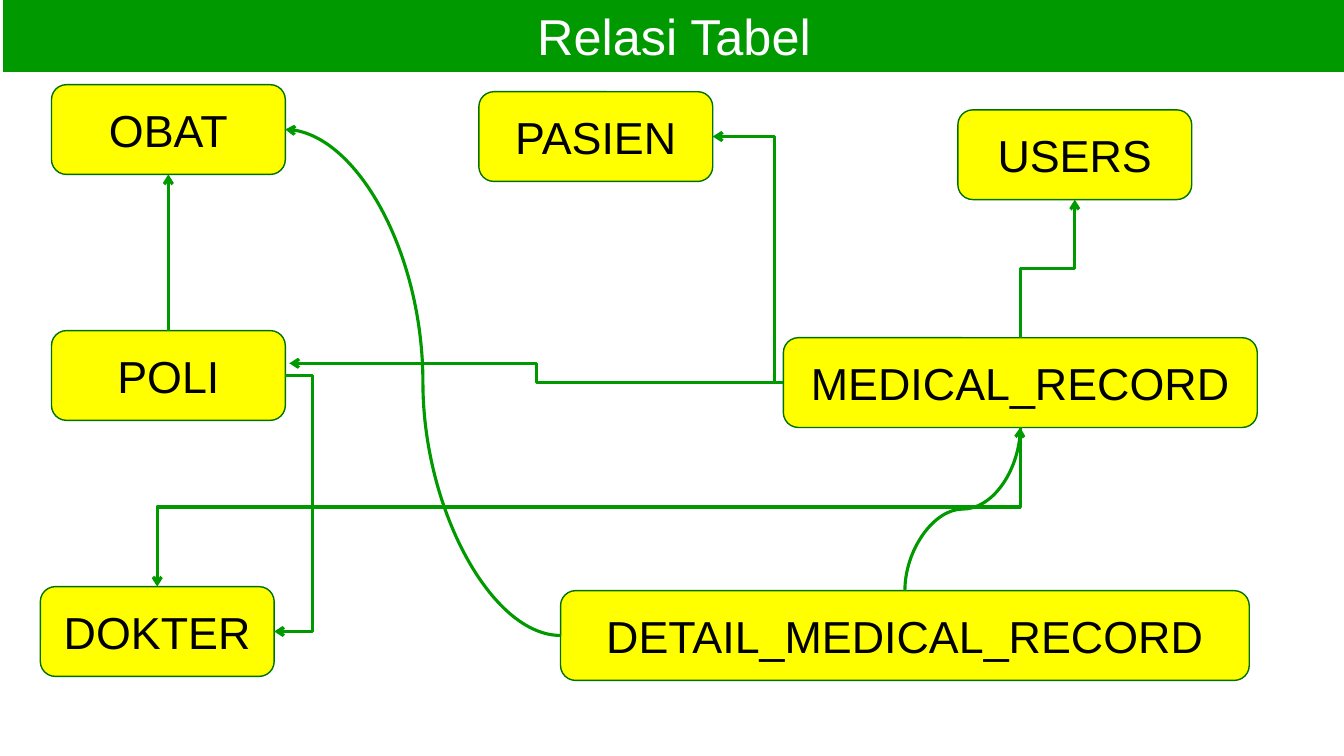
from dataclasses import dataclass

from lxml.etree import SubElement
from pptx import Presentation
from pptx.dml.color import RGBColor
from pptx.enum.shapes import MSO_CONNECTOR, MSO_SHAPE
from pptx.enum.text import MSO_ANCHOR, PP_ALIGN
from pptx.oxml.ns import qn
from pptx.util import Inches, Pt


@dataclass(frozen=True)
class Theme:
    green: str = "009900"
    edge: str = "007100"
    yellow: str = "FFFF00"
    white: str = "FFFFFF"
    black: str = "000000"
    font: str = "Arial"
    title_size: int = 36
    table_size: int = 32


THEME = Theme()

# Content: places in percent of the slide's width and height
TITLE = "Relasi Tabel"
TITLE_BOX = (0.15, -0.4, 100, 10.13)
NARROW, HEIGHT = 17.4, 11.87
TABLES = {  # name: left, top, width
    "OBAT": (3.83, 11.2, NARROW),
    "DOKTER": (3, 77.6, NARROW),
    "POLI": (3.83, 43.73, NARROW),
    "MEDICAL_RECORD": (58.29, 44.67, 35.26),
    "PASIEN": (35.63, 12.13, NARROW),
    "DETAIL_MEDICAL_RECORD": (41.71, 78.13, 51.24),
    "USERS": (71.27, 14.53, NARROW),
}
SIDES = {"left": (0, 0.5), "right": (1, 0.5), "top": (0.5, 0), "bottom": (0.5, 1)}
ELBOW, CURVE = MSO_CONNECTOR.ELBOW, MSO_CONNECTOR.CURVE
RELATIONS = [  # kind, (table, side, shift x, shift y) at start and end, extras
    (ELBOW, ("POLI", "right"), ("DOKTER", "right"), {"bend": -2.435}),
    (ELBOW, ("POLI", "top"), ("OBAT", "bottom"), {}),
    (ELBOW, ("MEDICAL_RECORD", "top"), ("USERS", "bottom"), {}),
    (ELBOW, ("MEDICAL_RECORD", "left", -0.68, 0), ("PASIEN", "right"),
     {"upright": True, "preset": "bentConnector2"}),
    (ELBOW, ("MEDICAL_RECORD", "left"), ("POLI", "right", 0.3, -1.6), {}),
    (ELBOW, ("MEDICAL_RECORD", "bottom"), ("DOKTER", "top"), {}),
    (CURVE, ("DETAIL_MEDICAL_RECORD", "left"), ("OBAT", "right"), {}),
    (CURVE, ("DETAIL_MEDICAL_RECORD", "top"), ("MEDICAL_RECORD", "bottom"), {}),
]

prs = Presentation()
prs.slide_width, prs.slide_height = Inches(13.33), Inches(7.5)
s = prs.slides.add_slide(prs.slide_layouts[6])


def across(share):
    return round(prs.slide_width * share / 100)


def down(share):
    return round(prs.slide_height * share / 100)


def add_box(preset, box, text, fill, line, width, size, color):
    x, y, w, h = box
    sp = s.shapes.add_shape(preset, across(x), down(y), across(w), down(h))
    sp.shadow.inherit = False
    sp.fill.solid()
    sp.fill.fore_color.rgb = RGBColor.from_string(fill)
    sp.line.color.rgb = RGBColor.from_string(line)
    sp.line.width = Pt(width)
    tf = sp.text_frame
    tf.vertical_anchor = MSO_ANCHOR.MIDDLE
    p = tf.paragraphs[0]
    p.alignment = PP_ALIGN.CENTER
    r = p.add_run()
    r.text = text
    for name, value in {"name": THEME.font, "size": Pt(size)}.items():
        setattr(r.font, name, value)
    r.font.color.rgb = RGBColor.from_string(color)


def anchor(table, side, shift_x=0, shift_y=0):
    x, y, w = TABLES[table]
    part_x, part_y = SIDES[side]
    return across(x + w * part_x + shift_x), down(y + HEIGHT * part_y + shift_y)


def add_relation(kind, start, end, bend=0.5, upright=False, preset=None):
    (x1, y1), (x2, y2) = anchor(*start), anchor(*end)
    upright = upright or start[1] in ("top", "bottom")
    turn = 0
    if upright:
        # A path that leaves vertically is a horizontal one turned on its centre
        turn = 90 if y2 > y1 else 270
        mid_x, mid_y = (x1 + x2) / 2, (y1 + y2) / 2
        half_w = abs(y2 - y1) / 2
        half_h = (x2 - x1) / 2 * (-1 if turn == 90 else 1)
        x1, x2 = round(mid_x - half_w), round(mid_x + half_w)
        y1, y2 = round(mid_y - half_h), round(mid_y + half_h)
    cx = s.shapes.add_connector(kind, x1, y1, x2, y2)
    cx.line.color.rgb = RGBColor.from_string(THEME.green)
    cx.line.width = Pt(2.25)

    # Turn, bend, arrowhead and no shadow
    props = cx._element.spPr
    if turn:
        props.find(qn("a:xfrm")).set("rot", str(turn * 60000))
    geom = props.find(qn("a:prstGeom"))
    if preset:
        geom.set("prst", preset)
    elif bend != 0.5:
        guides = geom.find(qn("a:avLst"))
        if guides is None:
            guides = SubElement(geom, qn("a:avLst"))
        SubElement(guides, qn("a:gd"), name="adj1", fmla=f"val {round(bend * 100000)}")
    SubElement(props.find(qn("a:ln")), qn("a:tailEnd"), type="arrow")
    SubElement(props, qn("a:effectLst"))


# Title band
add_box(MSO_SHAPE.RECTANGLE, TITLE_BOX, TITLE, THEME.green, THEME.white, 1.5,
        THEME.title_size, THEME.white)

# Tables
for table, place in TABLES.items():
    add_box(MSO_SHAPE.ROUNDED_RECTANGLE, (*place, HEIGHT), table, THEME.yellow,
            THEME.edge, 1, THEME.table_size, THEME.black)

# Relations
for kind, start, end, extras in RELATIONS:
    add_relation(kind, start, end, **extras)

prs.save("out.pptx")
